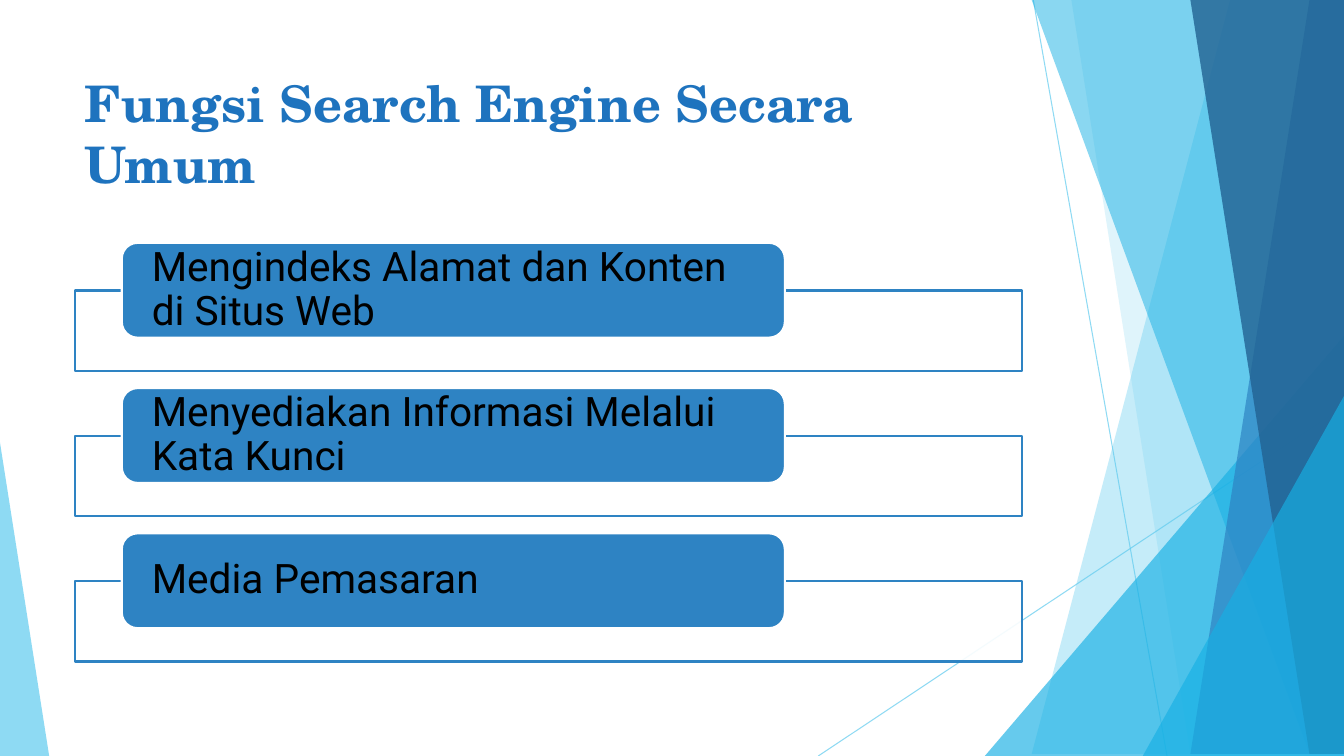
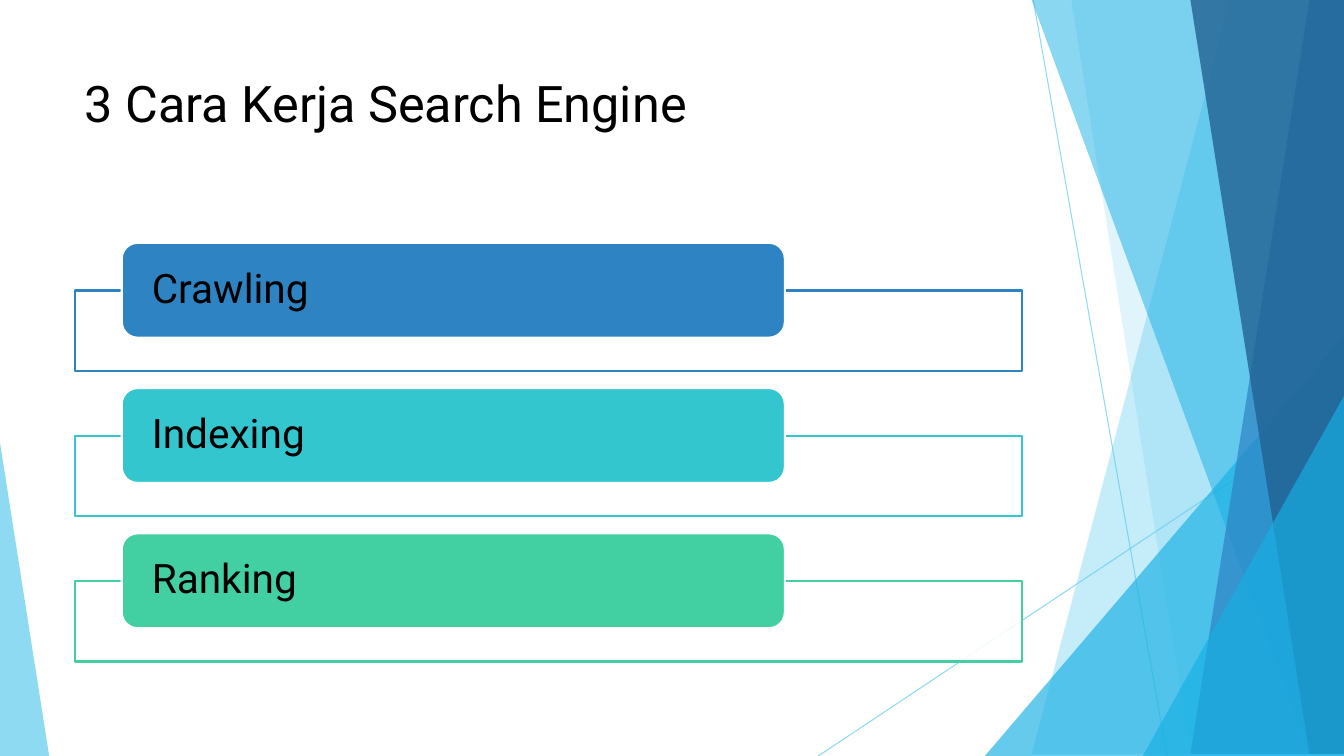
from dataclasses import dataclass

from lxml.etree import SubElement
from pptx import Presentation
from pptx.dml.color import RGBColor
from pptx.enum.shapes import MSO_CONNECTOR as Connector, MSO_SHAPE as Shape
from pptx.enum.text import MSO_ANCHOR as Anchor, MSO_AUTO_SIZE as AutoSize, PP_ALIGN as Align
from pptx.oxml.ns import qn
from pptx.util import Cm, Pt


@dataclass(frozen=True)
class Theme:
    white: str = "FFFFFF"
    black: str = "000000"
    heading: str = "1E73BE"
    sky: str = "5FCBEF"
    cyan: str = "17B0E4"
    blue: str = "2E83C3"
    navy: str = "226292"
    turquoise: str = "34C6CE"
    green: str = "42D0A2"
    sans: str = "Roboto"
    serif: str = "TeX Gyre Schola"
    title_size: float = 36
    item_size: float = 29
    outline: float = 1.5
    hairline: float = 0.75


THEME = Theme()
WIDTH, HEIGHT = 33.87, 19.05
MARGIN, CONTENT_WIDTH = 1.88, 23.88
TITLE_TOP, TITLE_HEIGHT = 1.7, 3.66
ROW_TOP, ROW_STEP = 6.12, 3.66
PILL_LEFT, PILL_WIDTH, PILL_HEIGHT = 3.07, 16.71, 2.39
FRAME_DROP, FRAME_HEIGHT = 1.2, 2.03

RAYS = [(26.04, 0, 29.41, HEIGHT), (WIDTH, 10.24, 20.62, HEIGHT)]
BACK_BANDS = [(31.19, 25.5, THEME.sky, 36), (26.67, 30.05, THEME.sky, 20)]
FRONT_BANDS = [
    (25.93, 32.79, THEME.cyan, 50),
    (33.1, 30.28, THEME.blue, 70),
    (30.38, 33.48, THEME.navy, 80),
]
BACK_WEDGE = (24.82, 8.46, WIDTH, 1, THEME.cyan, 66)
FRONT_WEDGE = (28.8, 9.98, WIDTH, 1, THEME.cyan, 66)
LEFT_WEDGE = (0, 11.15, 1.24, 0, THEME.sky, 70)

SLIDES = [
    (
        "Fungsi Search Engine Secara Umum",
        {"name": THEME.serif, "bold": True},
        THEME.heading,
        [
            ("Mengindeks Alamat dan Konten di Situs Web", THEME.blue),
            ("Menyediakan Informasi Melalui Kata Kunci", THEME.blue),
            ("Media Pemasaran", THEME.blue),
        ],
    ),
    (
        "3 Cara Kerja Search Engine",
        {"name": THEME.sans, "bold": False},
        THEME.black,
        [
            ("Crawling", THEME.blue),
            ("Indexing", THEME.turquoise),
            ("Ranking", THEME.green),
        ],
    ),
]


def apply_format(target, values):
    for name, value in values.items():
        setattr(target, name, value)


def set_opacity(shape, percent):
    for color in shape.element.iter(qn("a:srgbClr")):
        SubElement(color, qn("a:alpha"), val=str(percent * 1000))


def paint(shape, color, opacity=100, line=None):
    shape.shadow.inherit = False
    shape.fill.solid()
    shape.fill.fore_color.rgb = RGBColor.from_string(color)
    if opacity < 100:
        set_opacity(shape, opacity)
    if line:
        shape.line.color.rgb = RGBColor.from_string(line)
        shape.line.width = Pt(THEME.outline)
    else:
        shape.line.fill.background()


def write(shape, text, font_values, color, frame_values, paragraph_values):
    frame = shape.text_frame
    frame.text = text
    apply_format(frame, frame_values)
    paragraph = frame.paragraphs[0]
    apply_format(paragraph, paragraph_values)
    apply_format(paragraph.font, font_values)
    paragraph.font.color.rgb = RGBColor.from_string(color)


def add_ray(slide, start_x, start_y, end_x, end_y):
    ray = slide.shapes.add_connector(
        Connector.STRAIGHT, Cm(start_x), Cm(start_y), Cm(end_x), Cm(end_y)
    )
    ray.line.color.rgb = RGBColor.from_string(THEME.sky)
    ray.line.width = Pt(THEME.hairline)
    set_opacity(ray, 70)
    SubElement(ray.element.spPr, qn("a:effectLst"))


def add_band(slide, top_x, bottom_x, color, opacity):
    builder = slide.shapes.build_freeform(top_x, 0, scale=Cm(1))
    builder.add_line_segments([(WIDTH, 0), (WIDTH, HEIGHT), (bottom_x, HEIGHT)])
    paint(builder.convert_to_shape(), color, opacity)


def add_wedge(slide, left, top, right, apex, color, opacity):
    wedge = slide.shapes.add_shape(
        Shape.ISOSCELES_TRIANGLE, Cm(left), Cm(top), Cm(right - left), Cm(HEIGHT - top)
    )
    wedge.adjustments[0] = apex
    paint(wedge, color, opacity)


def draw_backdrop(slide):
    for ray in RAYS:
        add_ray(slide, *ray)
    for band in BACK_BANDS:
        add_band(slide, *band)
    add_wedge(slide, *BACK_WEDGE)
    for band in FRONT_BANDS:
        add_band(slide, *band)
    add_wedge(slide, *FRONT_WEDGE)
    add_wedge(slide, *LEFT_WEDGE)


def move_backdrop_to_layout(slide, layout):
    for placeholder in list(layout.placeholders):
        if placeholder.placeholder_format.idx:
            layout.shapes.element.remove(placeholder.element)
    for shape in list(slide.shapes):
        if not shape.is_placeholder:
            layout.shapes.element.append(shape.element)


def add_title(slide, text, font_values, color):
    title = slide.shapes.title
    apply_format(title, {
        "left": Cm(MARGIN), "top": Cm(TITLE_TOP),
        "width": Cm(CONTENT_WIDTH), "height": Cm(TITLE_HEIGHT),
    })
    write(
        title, text, {"size": Pt(THEME.title_size), **font_values}, color,
        {"vertical_anchor": Anchor.TOP, "word_wrap": True, "auto_size": AutoSize.NONE},
        {"alignment": Align.LEFT},
    )


def add_item(slide, top, text, color):
    frame = slide.shapes.add_shape(
        Shape.RECTANGLE, Cm(MARGIN), Cm(top + FRAME_DROP), Cm(CONTENT_WIDTH), Cm(FRAME_HEIGHT)
    )
    paint(frame, THEME.white, 90, color)
    pill = slide.shapes.add_shape(
        Shape.ROUNDED_RECTANGLE, Cm(PILL_LEFT), Cm(top), Cm(PILL_WIDTH), Cm(PILL_HEIGHT)
    )
    paint(pill, color, line=THEME.white)
    write(
        pill, text, {"name": THEME.sans, "size": Pt(THEME.item_size)}, THEME.black,
        {
            "vertical_anchor": Anchor.MIDDLE, "word_wrap": True,
            "margin_left": Cm(0.64), "margin_right": Cm(0.64),
            "margin_top": 0, "margin_bottom": 0,
        },
        {"alignment": Align.LEFT, "line_spacing": 0.9},
    )


def main():
    presentation = Presentation()
    presentation.slide_width, presentation.slide_height = Cm(WIDTH), Cm(HEIGHT)
    layout = presentation.slide_layouts.get_by_name("Title Only")
    slides = [presentation.slides.add_slide(layout) for _ in SLIDES]
    draw_backdrop(slides[0])
    move_backdrop_to_layout(slides[0], layout)
    for slide, (title, font_values, color, items) in zip(slides, SLIDES):
        add_title(slide, title, font_values, color)
        for row, (text, item_color) in enumerate(items):
            add_item(slide, ROW_TOP + row * ROW_STEP, text, item_color)
    presentation.save("out.pptx")


if __name__ == "__main__":
    main()
